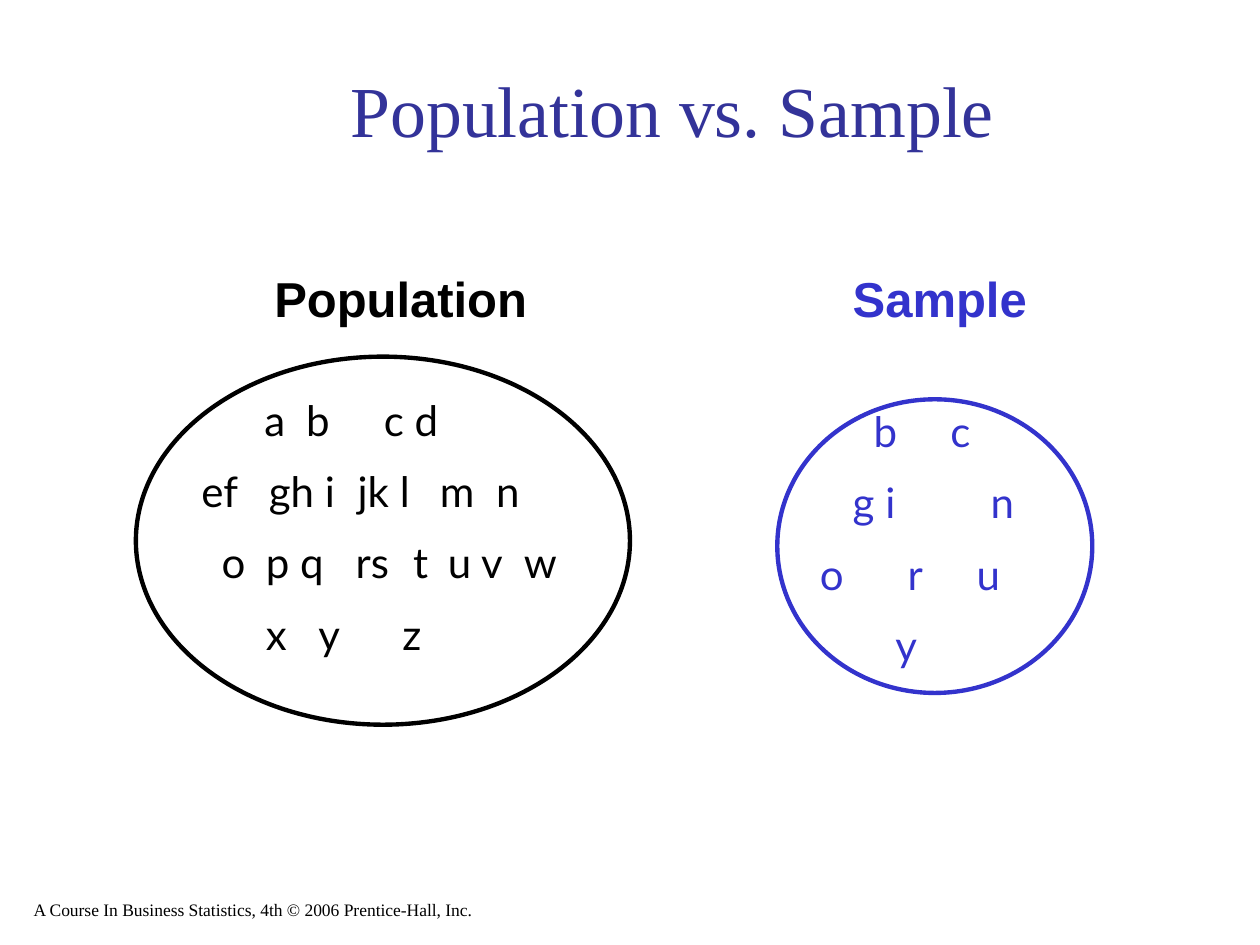
from lxml import etree
from pptx import Presentation
from pptx.dml.color import RGBColor
from pptx.enum.shapes import MSO_SHAPE as Shape
from pptx.enum.text import MSO_ANCHOR as Anchor, PP_ALIGN as Align
from pptx.oxml.ns import qn
from pptx.util import Cm, Pt

COLORS = {"black": "000000", "title": "333399", "sample": "3333CC"}
FORMATS = {
    "title": {"name": "Times New Roman", "size": Pt(41)},
    "footer": {"name": "Times New Roman", "size": Pt(10)},
    "heading": {"name": "Arial", "size": Pt(28), "bold": True},
    "letters": {"name": "Lato", "size": Pt(24)},
}

# Each row lists groups of letters with their distance in cm from the text edge.
POPULATION_ROWS = [
    [("a", 1.27), ("b", 2.11), ("c d", 3.68)],
    [("ef", 0), ("gh i", 1.36), ("jk l", 3.15), ("m", 4.81), ("n", 5.94)],
    [("o", 0.41), ("p q", 1.3), ("rs", 3.11), ("t", 4.27), ("u v", 4.97), ("w", 6.5)],
    [("x", 1.3), ("y", 2.36), ("z", 4.05)],
]
SAMPLE_ROWS = [
    [("b", 1.49), ("c", 3.04)],
    [("g i", 1.07), ("n", 3.85)],
    [("o", 0.41), ("r", 2.18), ("u", 3.57)],
    [("y", 1.93)],
]


def rgb(color):
    return RGBColor.from_string(COLORS[color])


def add_text_frame(slide, box, anchor=Anchor.TOP):
    frame = slide.shapes.add_textbox(*map(Cm, box)).text_frame
    frame.word_wrap = True
    frame.vertical_anchor = anchor
    return frame


def write(paragraph, text, style, color):
    paragraph.text = text
    for attribute, value in FORMATS[style].items():
        setattr(paragraph.font, attribute, value)
    paragraph.font.color.rgb = rgb(color)


def add_label(slide, box, text, style, color, anchor=Anchor.TOP, align=Align.LEFT):
    paragraph = add_text_frame(slide, box, anchor).paragraphs[0]
    paragraph.alignment = align
    write(paragraph, text, style, color)


def add_tab_stops(paragraph, positions):
    properties = paragraph._p.get_or_add_pPr()
    tab_list = etree.SubElement(properties, qn("a:tabLst"))
    for position in positions:
        etree.SubElement(tab_list, qn("a:tab"), pos=str(Cm(position)), algn="l")


def add_letters(slide, box, rows, color):
    frame = add_text_frame(slide, box)
    for index, row in enumerate(rows):
        paragraph = frame.add_paragraph() if index else frame.paragraphs[0]
        if index:
            paragraph.space_before = Pt(12)
        add_tab_stops(paragraph, [position for _, position in row if position])
        text = "".join(("\t" if position else "") + group for group, position in row)
        write(paragraph, text, "letters", color)


def add_group(slide, box, heading, heading_offset, letters_offset, rows, color):
    """Draw an ellipse in the box, with its heading and letters offset from its corner."""
    left, top, _, _ = box
    ellipse = slide.shapes.add_shape(Shape.OVAL, *map(Cm, box))
    ellipse.shadow.inherit = False
    ellipse.fill.background()
    ellipse.line.color.rgb = rgb(color)
    ellipse.line.width = Pt(2.5)

    x, y = heading_offset
    add_label(slide, (left + x, top + y, 6.15, 1.45), heading, "heading", color)
    x, y = letters_offset
    add_letters(slide, (left + x, top + y, 8.69, 7.37), rows, color)


def main():
    presentation = Presentation()
    presentation.slide_width, presentation.slide_height = Cm(25.4), Cm(19.05)
    slide = presentation.slides.add_slide(presentation.slide_layouts[6])

    add_label(slide, (0.43, 17.78, 12.9, 0.89),
              "A Course In Business Statistics, 4th © 2006 Prentice-Hall, Inc.",
              "footer", "black", Anchor.BOTTOM)
    add_label(slide, (2.74, 1.07, 21.64, 2.11), "Population vs. Sample",
              "title", "title", Anchor.BOTTOM, Align.CENTER)
    add_group(slide, (2.74, 7.19, 9.96, 7.42), "Population", (2.54, -1.91),
              (1.07, 0.63), POPULATION_ROWS, "black")
    add_group(slide, (15.67, 8.05, 6.35, 5.92), "Sample", (1.27, -2.77),
              (0.2, 0), SAMPLE_ROWS, "sample")
    presentation.save("out.pptx")


if __name__ == "__main__":
    main()
